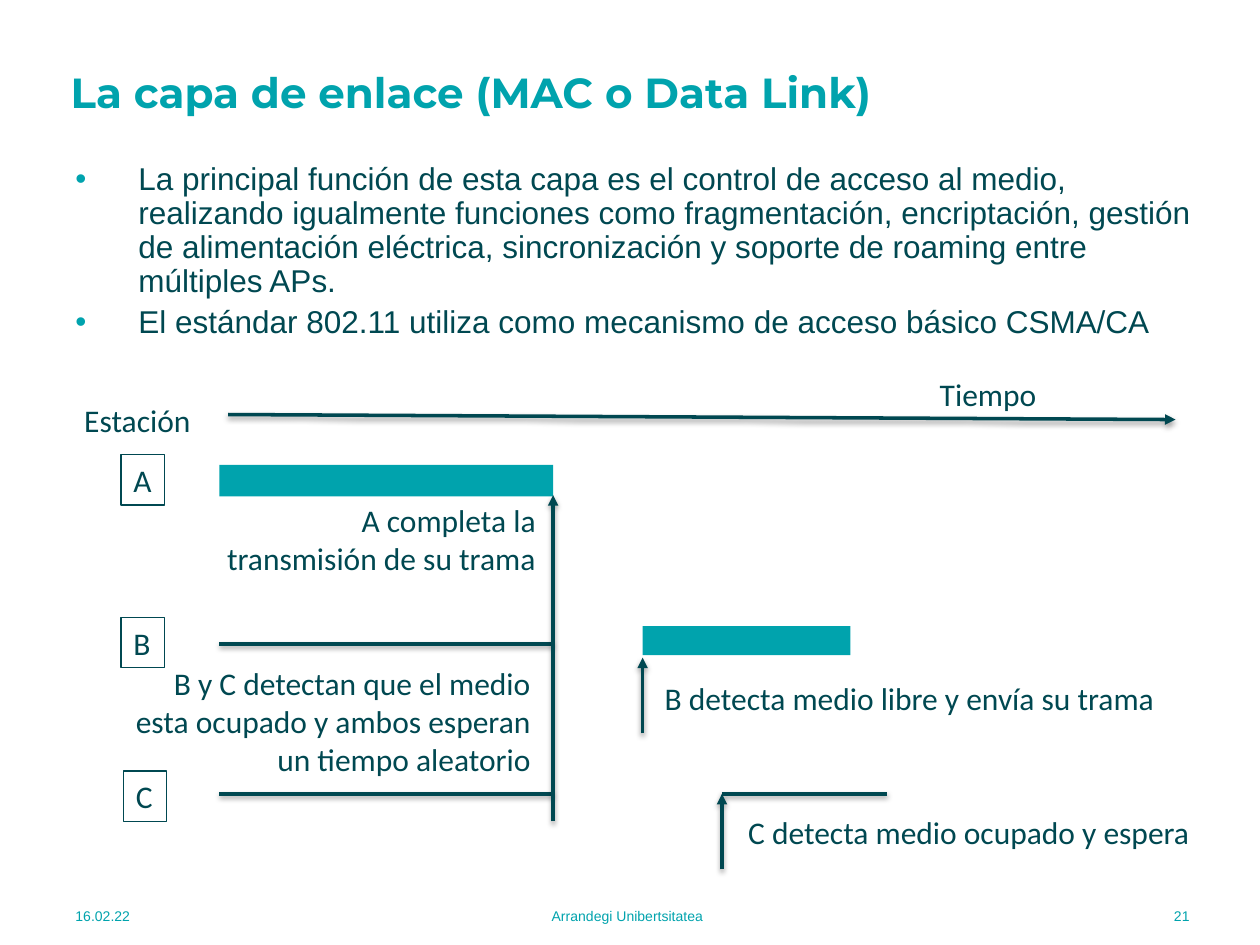
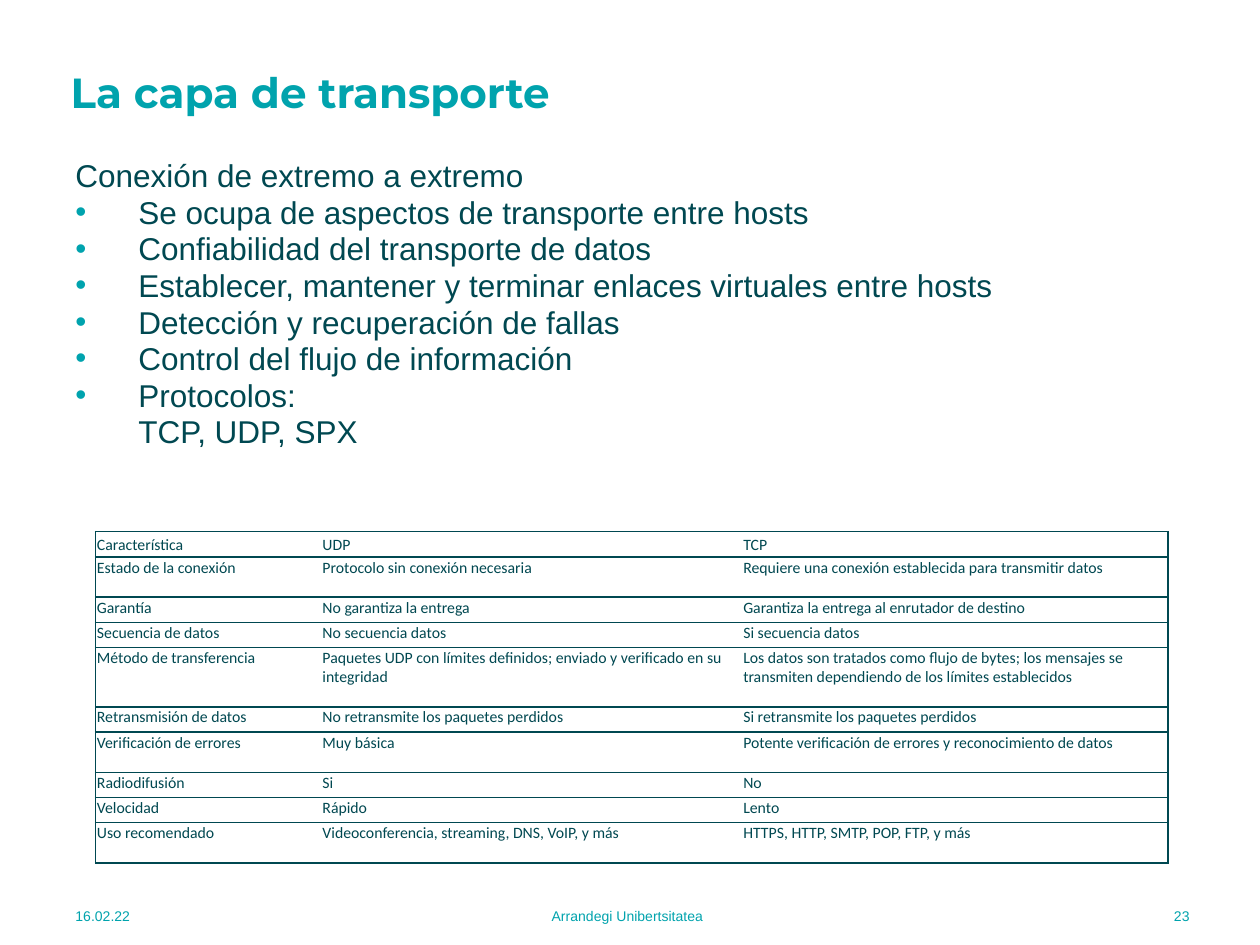
from lxml import etree
from pptx import Presentation
from pptx.dml.color import RGBColor
from pptx.enum.shapes import MSO_CONNECTOR, MSO_SHAPE
from pptx.enum.text import MSO_ANCHOR, MSO_AUTO_SIZE, PP_ALIGN
from pptx.oxml.ns import qn
from pptx.util import Inches, Pt

TEAL = RGBColor(0x00, 0xA3, 0xAD)
BULLET_TEAL = RGBColor(0x00, 0xA3, 0xAE)
INK = RGBColor(0x00, 0x48, 0x51)
WHITE = RGBColor(0xFF, 0xFF, 0xFF)
BLACK = RGBColor(0x00, 0x00, 0x00)

LEFT, CENTER, RIGHT = PP_ALIGN.LEFT, PP_ALIGN.CENTER, PP_ALIGN.RIGHT
TOP, MIDDLE = MSO_ANCHOR.TOP, MSO_ANCHOR.MIDDLE
NO_AUTOFIT = MSO_AUTO_SIZE.NONE
RECTANGLE = MSO_SHAPE.RECTANGLE
STRAIGHT = MSO_CONNECTOR.STRAIGHT

TITLE_ONLY = 5
COLUMNS, ROWS = 100, 75  # square grid, ten steps to the inch
LABEL_HEIGHT = 4

FOOTER_DATE = "16.02.22"
FOOTER_NAME = "Arrandegi Unibertsitatea"


def grid(*steps):
    return [Inches(step / 10) for step in steps]


def add_node(parent, tag, **attributes):
    return etree.SubElement(parent, qn(tag), {key: str(value) for key, value in attributes.items()})


def add_color(parent, color):
    return add_node(parent, "a:srgbClr", val=color)


class PageBuilder:
    def __init__(self, deck):
        self.deck = deck
        self.page = None

    def start(self, title, number):
        self.page = self.deck.slides.add_slide(self.deck.slide_layouts[TITLE_ONLY])
        for left, width, text, align in (
            (5, 12.9, FOOTER_DATE, LEFT),
            (23.7, 52.2, FOOTER_NAME, CENTER),
            (82.6, 12.8, str(number), RIGHT),
        ):
            para = self.label((left, 70.7, width, 4), text, align, MIDDLE, font="Arial", size=8, color=TEAL)
            para.space_after = Pt(6)
        heading = self.page.shapes.title
        heading.left, heading.top, heading.width, heading.height = grid(4.6, 5.2, 83.8, 4.7)
        para = self.set_text(heading.text_frame, title, LEFT, MIDDLE,
                             font="Montserrat", size=24, color=TEAL, bold=True)
        para.line_spacing = 0.9

    def add_span(self, para, text, font="Calibri", size=18, color=INK, bold=False):
        span = para.add_run()
        span.text = text
        span.font.name = font
        span.font.size = Pt(size)
        span.font.bold = bold
        span.font.color.rgb = color

    def set_text(self, frame, text, align=LEFT, anchor=TOP, wrap=True, **style):
        frame.word_wrap = wrap
        frame.auto_size = NO_AUTOFIT
        frame.vertical_anchor = anchor
        para = frame.paragraphs[0]
        para.alignment = align
        self.add_span(para, text, **style)
        return para

    def label(self, place, text, align=LEFT, anchor=TOP, wrap=True, **style):
        box = self.page.shapes.add_textbox(*grid(*place))
        return self.set_text(box.text_frame, text, align, anchor, wrap, **style)

    def body(self, items, line_spacing):
        """Add (kind, text) items, where kind is plain, bullet or continued."""
        frame = self.page.shapes.add_textbox(*grid(5, 12.5, 90.7, 25)).text_frame
        frame.word_wrap = True
        for index, (kind, text) in enumerate(items):
            para = frame.add_paragraph() if index else frame.paragraphs[0]
            para.line_spacing = line_spacing
            para.space_before = Pt(3.6)
            self.add_span(para, text, font="Arial")
            properties = para._p.get_or_add_pPr()
            if kind != "plain":
                properties.set("marL", str(Inches(0.5)))
            if kind == "bullet":
                properties.set("indent", str(Inches(-0.5)))
                add_color(add_node(properties, "a:buClr"), BULLET_TEAL)
                add_node(properties, "a:buFont", typeface="Arial")
                add_node(properties, "a:buChar", char="•")

    def rectangle(self, *place):
        shape = self.page.shapes.add_shape(RECTANGLE, *grid(*place))
        shape.shadow.inherit = False
        return shape

    def frame_bar(self, *place):
        bar = self.rectangle(*place)
        bar.fill.solid()
        bar.fill.fore_color.rgb = TEAL
        bar.line.fill.background()

    def station(self, left, top, name):
        box = self.rectangle(left, top, 3.45, LABEL_HEIGHT)
        box.fill.background()
        box.line.color.rgb = INK
        box.line.width = Pt(0.75)
        self.set_text(box.text_frame, name, wrap=False)

    def line(self, start, end, arrow=False):
        connector = self.page.shapes.add_connector(STRAIGHT, *grid(*start, *end))
        connector.line.color.rgb = INK
        connector.line.width = Pt(2)
        properties = connector._element.spPr
        if arrow:
            add_node(properties.find(qn("a:ln")), "a:tailEnd", type="triangle")
        effects = add_node(properties, "a:effectLst")
        shadow = add_node(effects, "a:outerShdw", blurRad=Pt(3.1), dist=Pt(1.6), dir=5400000, rotWithShape=0)
        add_node(add_color(shadow, BLACK), "a:alpha", val=38000)

    def table(self, place, widths, heights, rows):
        table = self.page.shapes.add_table(len(rows), len(widths), *grid(*place)).table
        table.first_row = table.horz_banding = False
        for column, width in zip(table.columns, grid(*widths)):
            column.width = width
        for row, height in zip(table.rows, grid(*heights)):
            row.height = height
        for y, texts in enumerate(rows):
            for x, text in enumerate(texts):
                cell = table.cell(y, x)
                cell.margin_left = cell.margin_top = cell.margin_right = Inches(0.01)
                cell.margin_bottom = 0
                cell.vertical_anchor = TOP if y else MIDDLE
                self.add_span(cell.text_frame.paragraphs[0], text, size=9)
                self.cell_borders(cell, first=x == 0, last=x == len(texts) - 1)
                cell.fill.solid()
                cell.fill.fore_color.rgb = WHITE

    def cell_borders(self, cell, first, last):
        properties = cell._tc.get_or_add_tcPr()
        for side, visible in (("L", first), ("R", last), ("T", True), ("B", True)):
            border = add_node(properties, f"a:ln{side}", w=Pt(1))
            if visible:
                add_color(add_node(border, "a:solidFill"), INK)
            else:
                add_node(border, "a:noFill")


def link_layer(builder):
    builder.start("La capa de enlace (MAC o Data Link)", 21)
    builder.body([
        ("bullet", "La principal función de esta capa es el control de acceso al medio, realizando "
                   "igualmente funciones como fragmentación, encriptación, gestión de alimentación "
                   "eléctrica, sincronización y soporte de roaming entre múltiples APs."),
        ("bullet", "El estándar 802.11 utiliza como mecanismo de acceso básico CSMA/CA"),
    ], 0.9)

    origin, a_end, b_start, c_start = 17.4, 43.9, 51, 57.3
    b_line, c_line = 51.1, 63
    builder.line((18.1, 32.9), (93.3, 33.3), arrow=True)
    builder.label((73.6, 29.3, 9.8, LABEL_HEIGHT), "Tiempo", wrap=False)
    builder.label((5.7, 31.3, 10.5, LABEL_HEIGHT), "Estación", wrap=False)
    for left, top, name in ((9.6, 36.1, "A"), (9.6, 49, "B"), (9.8, 61.2, "C")):
        builder.station(left, top, name)

    builder.frame_bar(origin, 36.9, a_end - origin, 2.5)
    builder.frame_bar(b_start, 49.7, 16.5, 2.3)
    for start, end, height in ((origin, a_end, b_line), (origin, a_end, c_line), (c_start, 70.4, c_line)):
        builder.line((start, height), (end, height))
    for moment, bottom, top in ((a_end, 65.2, 39.3), (b_start, 58.2, 52.2), (c_start, 69, c_line)):
        builder.line((moment, bottom), (moment, top), arrow=True)

    for place, text in (
        ((17, 39.3, 26.5, 10.1), "A completa la transmisión de su trama"),
        ((8.2, 52.2, 34.9, 10.1), "B y C detectan que el medio esta ocupado y ambos esperan un tiempo aleatorio"),
        ((49, 53.4, 43.6, LABEL_HEIGHT), "B detecta medio libre y envía su trama"),
        ((51.8, 64, 43.6, LABEL_HEIGHT), "C detecta medio ocupado y espera"),
    ):
        builder.label(place, text, RIGHT)


def transport_layer(builder):
    builder.start("La capa de transporte", 23)
    builder.body([
        ("plain", "Conexión de extremo a extremo"),
        ("bullet", "Se ocupa de aspectos de transporte entre hosts"),
        ("bullet", "Confiabilidad del transporte de datos"),
        ("bullet", "Establecer, mantener y terminar enlaces virtuales entre hosts"),
        ("bullet", "Detección y recuperación de fallas"),
        ("bullet", "Control del flujo de información"),
        ("bullet", "Protocolos:"),
        ("continued", "TCP, UDP, SPX"),
    ], 0.8)

    short, medium, tall = 2, 3.2, 4.7
    heights = [short, medium, short, short, tall, short, medium, short, short, medium]
    builder.table((7.6, 42.2, 85.1, sum(heights)), [17.9, 33.4, 33.8], heights, [
        ("Característica", "UDP", "TCP"),
        ("Estado de la conexión", "Protocolo sin conexión necesaria",
         "Requiere una conexión establecida para transmitir datos"),
        ("Garantía", "No garantiza la entrega", "Garantiza la entrega al enrutador de destino"),
        ("Secuencia de datos", "No secuencia datos", "Si secuencia datos"),
        ("Método de transferencia",
         "Paquetes UDP con límites definidos; enviado y verificado en su integridad",
         "Los datos son tratados como flujo de bytes; los mensajes se transmiten "
         "dependiendo de los límites establecidos"),
        ("Retransmisión de datos", "No retransmite los paquetes perdidos", "Si retransmite los paquetes perdidos"),
        ("Verificación de errores", "Muy básica", "Potente verificación de errores y reconocimiento de datos"),
        ("Radiodifusión", "Si", "No"),
        ("Velocidad", "Rápido", "Lento"),
        ("Uso recomendado", "Videoconferencia, streaming, DNS, VoIP, y más", "HTTPS, HTTP, SMTP, POP, FTP, y más"),
    ])


def main():
    deck = Presentation()
    deck.slide_width, deck.slide_height = grid(COLUMNS, ROWS)
    builder = PageBuilder(deck)
    link_layer(builder)
    transport_layer(builder)
    deck.save("out.pptx")


if __name__ == "__main__":
    main()
